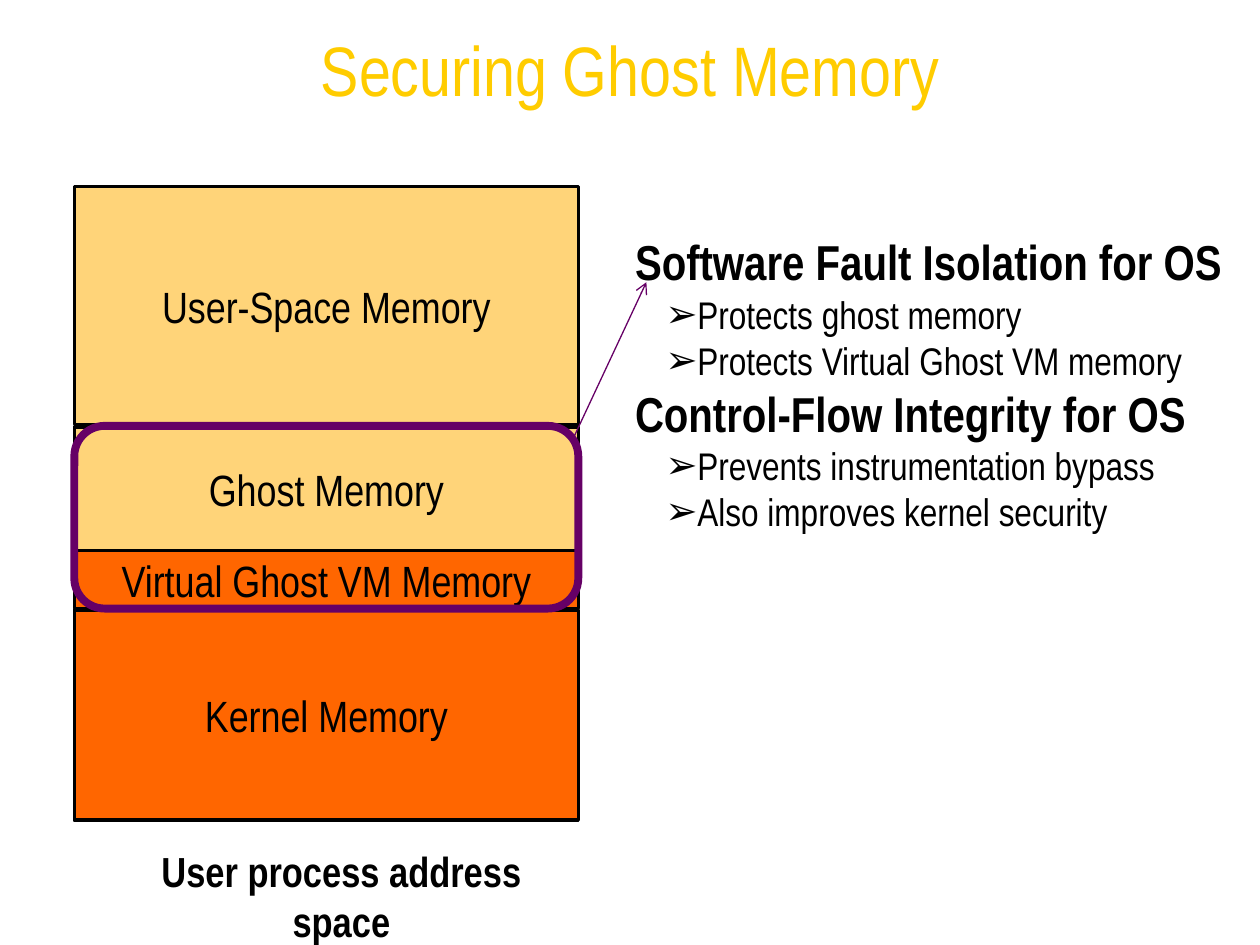
import pptx
import pptx.util
import pptx.dml.color
import pptx.enum.shapes
import pptx.enum.text
import pptx.oxml.ns
import lxml.etree

Inches, Pt = pptx.util.Inches, pptx.util.Pt
ALIGN, ANCHOR = pptx.enum.text.PP_ALIGN, pptx.enum.text.MSO_ANCHOR
SHAPES = pptx.enum.shapes.MSO_SHAPE

FONT = "Arial Narrow"
COLORS = {"title": "FFCC00", "text": "000000", "user": "FFD479",
          "kernel": "FF6600", "highlight": "660066"}

TITLE = "Securing Ghost Memory"
CAPTION = "User process address space"
DEFENSES = [
    ("Software Fault Isolation for OS",
     ["Protects ghost memory", "Protects Virtual Ghost VM memory"]),
    ("Control-Flow Integrity for OS",
     ["Prevents instrumentation bypass", "Also improves kernel security"]),
]
# Memory regions: label, top, height, color
REGIONS = [
    ("Virtual Ghost VM Memory", 4.37, 0.46, "kernel"),
    ("User-Space Memory", 1.48, 1.89, "user"),
    ("Ghost Memory", 3.39, 0.98, "user"),
    ("Kernel Memory", 4.84, 1.67, "kernel"),
]
MAP_LEFT, MAP_WIDTH = 0.59, 4


def rgb(name):
    return pptx.dml.color.RGBColor.from_string(COLORS[name])


def add_xml(parent, tag, **attributes):
    return lxml.etree.SubElement(parent, pptx.oxml.ns.qn(tag), attributes)


def place(shape, left, top, width, height):
    shape.left, shape.top = Inches(left), Inches(top)
    shape.width, shape.height = Inches(width), Inches(height)


def format_text(paragraph, size, color="text", bold=False, align=None):
    paragraph.alignment = align
    for run in paragraph.runs:
        run.font.name = FONT
        run.font.size = Pt(size)
        run.font.bold = bold
        run.font.color.rgb = rgb(color)


def set_line(shape, color, width):
    shape.line.color.rgb = rgb(color)
    shape.line.width = Pt(width)


def add_map_shape(slide, kind, top, height):
    shape = slide.shapes.add_shape(kind, Inches(MAP_LEFT), Inches(top),
                                   Inches(MAP_WIDTH), Inches(height))
    shape.shadow.inherit = False
    return shape


def add_defenses(body):
    place(body, 4.94, 1.79, 4.98, 5.05)
    frame = body.text_frame
    frame.auto_size = pptx.enum.text.MSO_AUTO_SIZE.NONE
    lines = [line for heading, points in DEFENSES
             for line in [(heading, 0)] + [(point, 1) for point in points]]
    frame.text = "\n".join(text for text, level in lines)
    for paragraph, (text, level) in zip(frame.paragraphs, lines):
        paragraph.level = level
        properties = paragraph._p.get_or_add_pPr()
        properties.set("marL", str(Inches(0.49 * level)))
        properties.set("indent", str(Inches(-0.25 * level)))
        if level:
            add_xml(properties, "a:buChar", char="➢")
        else:
            add_xml(properties, "a:buNone")
        paragraph.space_before = Pt(0)
        format_text(paragraph, 22 if level else 28, bold=not level)


def main():
    presentation = pptx.Presentation()
    presentation.slide_width, presentation.slide_height = Inches(10), Inches(7.5)
    slide = presentation.slides.add_slide(presentation.slide_layouts[1])

    # Title and list of defenses
    title, body = slide.placeholders
    place(title, 0, 0, 10, 1.08)
    title.text_frame.text = TITLE
    title.text_frame.vertical_anchor = ANCHOR.MIDDLE
    format_text(title.text_frame.paragraphs[0], 40, "title", align=ALIGN.CENTER)
    add_defenses(body)

    # Address space map
    for label, top, height, color in REGIONS:
        region = add_map_shape(slide, SHAPES.RECTANGLE, top, height)
        region.fill.solid()
        region.fill.fore_color.rgb = rgb(color)
        set_line(region, "text", 2)
        frame = region.text_frame
        frame.margin_left = frame.margin_right = 0
        frame.margin_top = frame.margin_bottom = 0
        frame.vertical_anchor = ANCHOR.MIDDLE
        frame.text = label
        format_text(frame.paragraphs[0], 25, align=ALIGN.CENTER)

    # Caption below the map
    caption = slide.shapes.add_textbox(Inches(0.76), Inches(6.66),
                                       Inches(3.9), Inches(0.5))
    caption.text_frame.word_wrap = False
    caption.text_frame.text = CAPTION
    format_text(caption.text_frame.paragraphs[0], 24, bold=True, align=ALIGN.CENTER)

    # Outline of the protected regions, with an arrow to the defenses
    outline = add_map_shape(slide, SHAPES.ROUNDED_RECTANGLE, 3.38, 1.45)
    outline.fill.background()
    set_line(outline, "highlight", 4.5)
    arrow = slide.shapes.add_connector(
        pptx.enum.shapes.MSO_CONNECTOR.STRAIGHT,
        Inches(4.54), Inches(3.5), Inches(5.13), Inches(2.24))
    set_line(arrow, "highlight", 0.75)
    add_xml(arrow.line._get_or_add_ln(), "a:tailEnd", type="arrow")
    add_xml(arrow._element.spPr, "a:effectLst")

    presentation.save("out.pptx")


if __name__ == "__main__":
    main()
